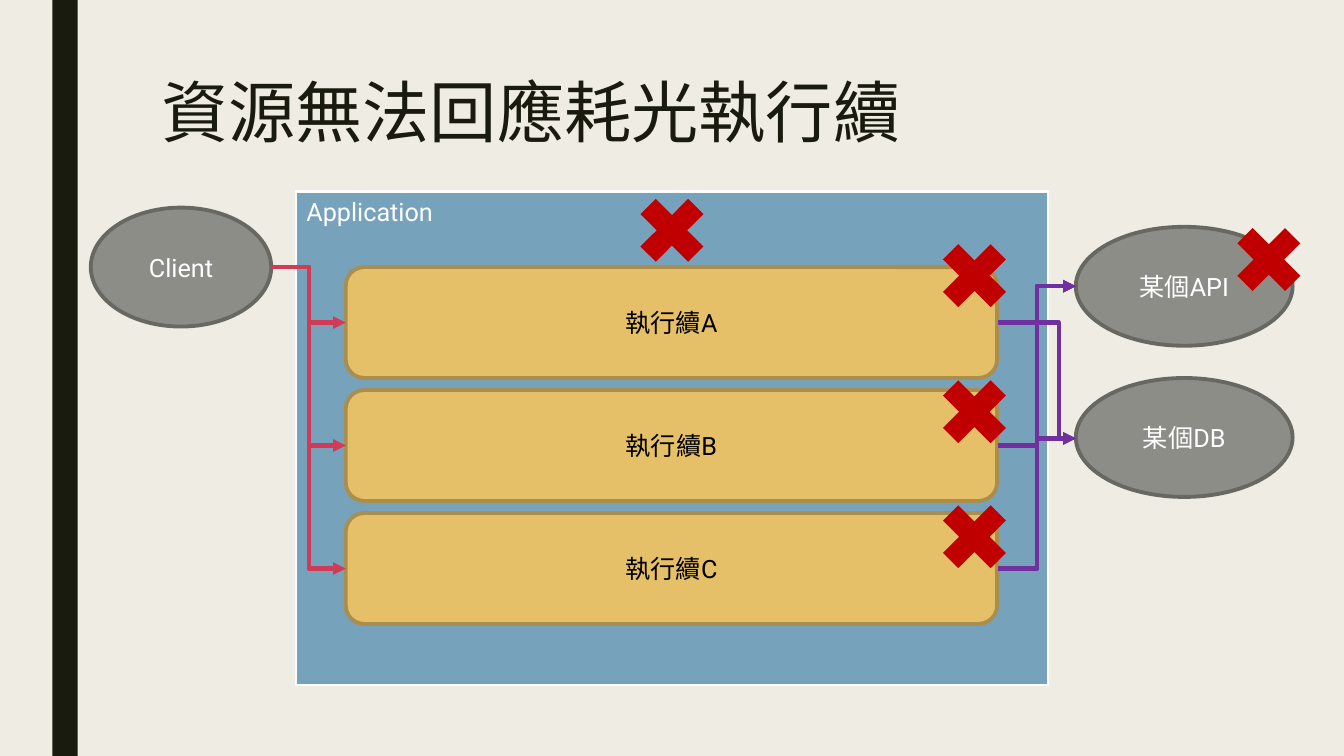
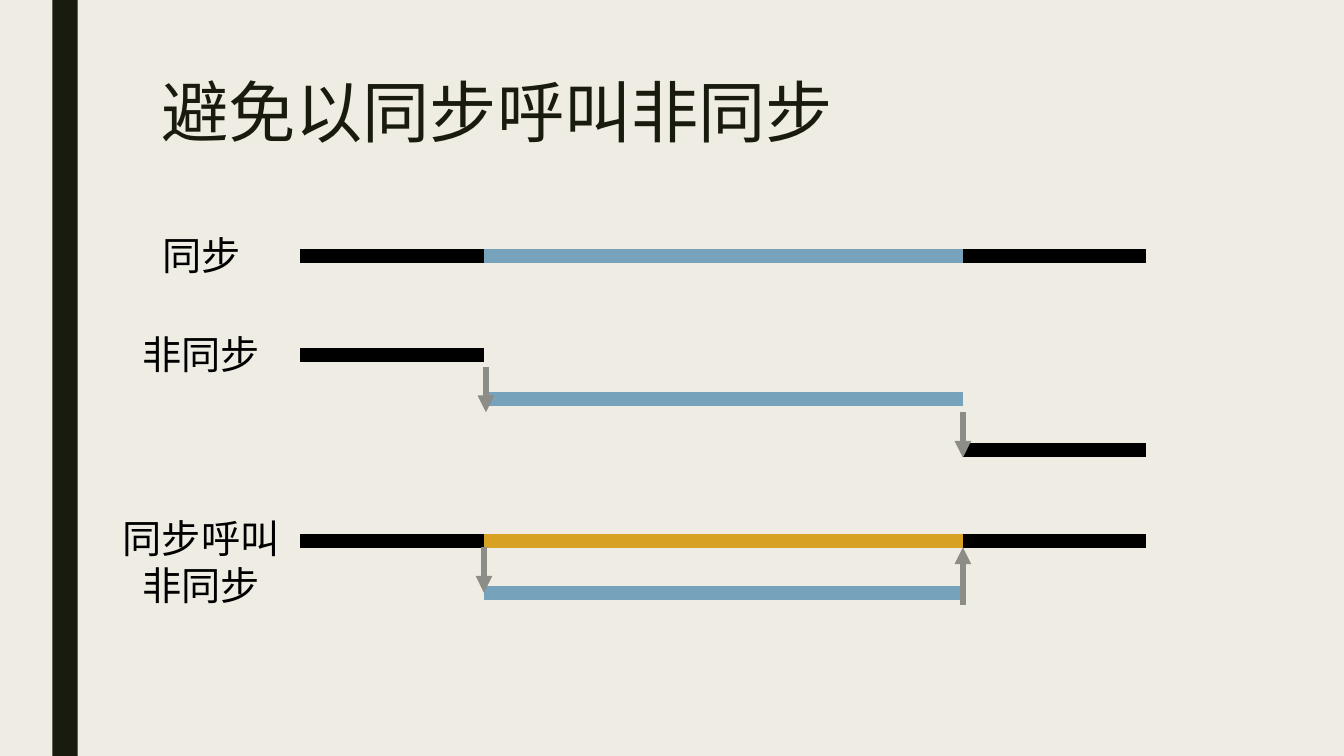
"""Build two slides on thread exhaustion and synchronous calls."""
from dataclasses import dataclass

from lxml.etree import SubElement
from pptx import Presentation
from pptx.dml.color import RGBColor
from pptx.enum.shapes import MSO_CONNECTOR, MSO_SHAPE
from pptx.enum.text import MSO_ANCHOR, MSO_AUTO_SIZE, PP_ALIGN
from pptx.oxml.ns import qn
from pptx.util import Inches, Pt


@dataclass(frozen=True)
class Theme:
    """Hold the colours, font and sizes that the slides share."""
    font: str = "Roboto"
    background: str = "EFEDE3"
    ink: str = "191B0E"
    black: str = "000000"
    white: str = "FFFFFF"
    blue: str = "77A2BB"
    gray: str = "8C8D86"
    gray_edge: str = "686863"
    sand: str = "E6C069"
    sand_edge: str = "AA8E4E"
    gold: str = "D7A124"
    request: str = "D13B56"
    resource: str = "7030A0"
    failure: str = "C00000"
    title_size: float = 48
    label_size: float = 28
    body_size: float = 18
    edge: float = 2.75
    flow: float = 3
    arrow: float = 4
    bar: float = 10


THEME = Theme()


def color(value):
    """Return a colour from its hex value."""
    return RGBColor.from_string(value)


def write(shape, text, size, text_color, align=PP_ALIGN.CENTER, anchor=MSO_ANCHOR.MIDDLE):
    """Write one styled run into a shape and return its paragraph."""
    frame = shape.text_frame
    frame.word_wrap = True
    frame.vertical_anchor = anchor
    paragraph = frame.paragraphs[0]
    paragraph.alignment = align
    run = paragraph.add_run()
    run.text = text
    run.font.name = THEME.font
    run.font.size = Pt(size)
    run.font.color.rgb = color(text_color)
    return paragraph


def add_block(slide, kind, box, fill, edge=None, width=THEME.edge):
    """Add a filled preset shape with an optional outline."""
    shape = slide.shapes.add_shape(kind, *map(Inches, box))
    shape.shadow.inherit = False
    shape.fill.solid()
    shape.fill.fore_color.rgb = color(fill)
    if edge:
        shape.line.color.rgb = color(edge)
        shape.line.width = Pt(width)
    else:
        shape.line.fill.background()
    return shape


def add_line(slide, start, end, line_color, width, kind=MSO_CONNECTOR.STRAIGHT,
             arrow=False, bend=None):
    """Add a line, with an optional arrowhead and elbow position."""
    connector = slide.shapes.add_connector(kind, *map(Inches, (*start, *end)))
    connector.line.color.rgb = color(line_color)
    connector.line.width = Pt(width)
    properties = connector._element.spPr
    if arrow:
        SubElement(properties.find(qn("a:ln")), qn("a:tailEnd"), type="triangle")
    if bend is not None:
        adjustments = properties.find(qn("a:prstGeom")).get_or_add_avLst()
        SubElement(adjustments, qn("a:gd"), name="adj1", fmla=f"val {round(bend * 100000)}")
    SubElement(properties, qn("a:effectLst"))


def add_flow(slide, start, end, line_color, bend=0.5):
    """Add an elbow arrow between two parts of the system."""
    add_line(slide, start, end, line_color, THEME.flow, MSO_CONNECTOR.ELBOW, True, bend)


def add_oval(slide, box, text):
    """Add a gray ellipse for a party outside the application."""
    oval = add_block(slide, MSO_SHAPE.OVAL, box, THEME.gray, THEME.gray_edge)
    write(oval, text, THEME.body_size, THEME.white)


def add_thread(slide, top, text):
    """Add one thread of the application."""
    thread = add_block(slide, MSO_SHAPE.ROUNDED_RECTANGLE, (3.43, top, 6.46, 1.1),
                       THEME.sand, THEME.sand_edge)
    write(thread, text, THEME.body_size, THEME.black)


def add_label(slide, box, text):
    """Add the label of a timeline."""
    label = slide.shapes.add_textbox(*map(Inches, box))
    write(label, text, THEME.label_size, THEME.black, anchor=MSO_ANCHOR.TOP)
    label.text_frame.auto_size = MSO_AUTO_SIZE.SHAPE_TO_FIT_TEXT


def add_base_slide(presentation, title, title_height):
    """Add a slide with the shared background, band and title."""
    slide = presentation.slides.add_slide(presentation.slide_layouts[6])
    slide.background.fill.solid()
    slide.background.fill.fore_color.rgb = color(THEME.background)
    add_block(slide, MSO_SHAPE.RECTANGLE, (0.52, 0, 0.25, 7.5), THEME.ink)
    box = slide.shapes.add_textbox(*map(Inches, (1.5, 0.75, 10.5, title_height)))
    paragraph = write(box, title, THEME.title_size, THEME.ink, PP_ALIGN.LEFT, MSO_ANCHOR.TOP)
    paragraph.line_spacing = 0.89
    return slide


def build_exhaustion(presentation):
    """Show how resources that do not answer use up all threads."""
    slide = add_base_slide(presentation, "資源無法回應耗光執行續", 1.62)
    application = add_block(slide, MSO_SHAPE.RECTANGLE, (2.94, 1.9, 7.45, 4.9),
                            THEME.blue, THEME.white, 1.5)
    write(application, "Application", THEME.body_size, THEME.white,
          PP_ALIGN.LEFT, MSO_ANCHOR.TOP)
    add_oval(slide, (10.67, 2.25, 2.15, 1.18), "某個API")
    add_oval(slide, (10.67, 3.75, 2.15, 1.18), "某個DB")
    add_oval(slide, (0.9, 2.06, 1.79, 1.18), "Client")

    thread_tops = [2.65 + 1.22 * index for index in range(3)]
    for top, letter in zip(thread_tops, "ABC"):
        add_thread(slide, top, f"執行續{letter}")
    middles = [top + 0.55 for top in thread_tops]
    for middle in middles:
        add_flow(slide, (2.7, 2.65), (3.43, middle), THEME.request)
    for target, first_bend in ((2.84, 0.5), (4.35, 0.78)):
        for middle, bend in zip(middles, (first_bend, 0.5, 0.5)):
            add_flow(slide, (9.9, middle), (10.67, target), THEME.resource, bend)

    for left, top in ((12.13, 2.12), (9.21, 2.28), (9.21, 3.63), (9.21, 4.87), (6.21, 1.83)):
        add_block(slide, MSO_SHAPE.MATH_MULTIPLY, (left, top, 0.91, 0.91), THEME.failure)


def build_timelines(presentation):
    """Compare synchronous, asynchronous and mixed calls over time."""
    slide = add_base_slide(presentation, "避免以同步呼叫非同步", 0.99)
    for box, text in (((1.5, 2.25, 1, 0.57), "同步"),
                      ((1.1, 3.23, 1.79, 0.57), "非同步"),
                      ((1.1, 5.05, 1.79, 1.04), "同步呼叫非同步")):
        add_label(slide, box, text)

    begin, call, answer, finish = 2.98, 4.8, 9.55, 11.37
    before, during, after = (begin, call), (call, answer), (answer, finish)
    for (left, right), height, bar_color in (
            (before, 2.54, THEME.black), (during, 2.54, THEME.blue), (after, 2.54, THEME.black),
            (before, 3.52, THEME.black), (during, 3.96, THEME.blue), (after, 4.46, THEME.black),
            (during, 5.88, THEME.blue),
            (before, 5.37, THEME.black), (during, 5.37, THEME.gold), (after, 5.37, THEME.black)):
        add_line(slide, (left, height), (right, height), bar_color, THEME.bar)
    for moment, start, end in ((call, 5.43, 5.88), (answer, 6, 5.43),
                               (call + 0.02, 3.64, 4.09), (answer, 4.09, 4.54)):
        add_line(slide, (moment, start), (moment, end), THEME.gray, THEME.arrow, arrow=True)


def main():
    """Build and save the presentation."""
    presentation = Presentation()
    presentation.slide_width = Inches(13.33)
    presentation.slide_height = Inches(7.5)
    build_exhaustion(presentation)
    build_timelines(presentation)
    presentation.save("out.pptx")


main()
